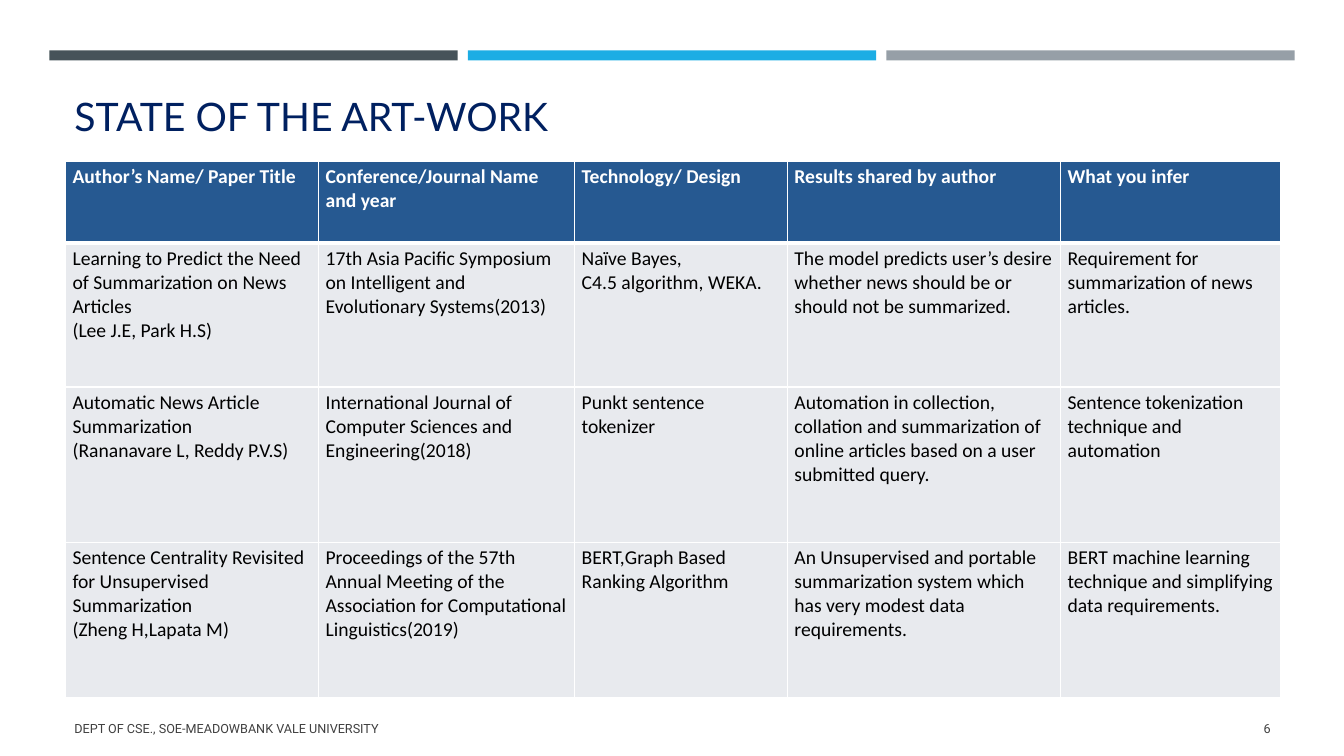
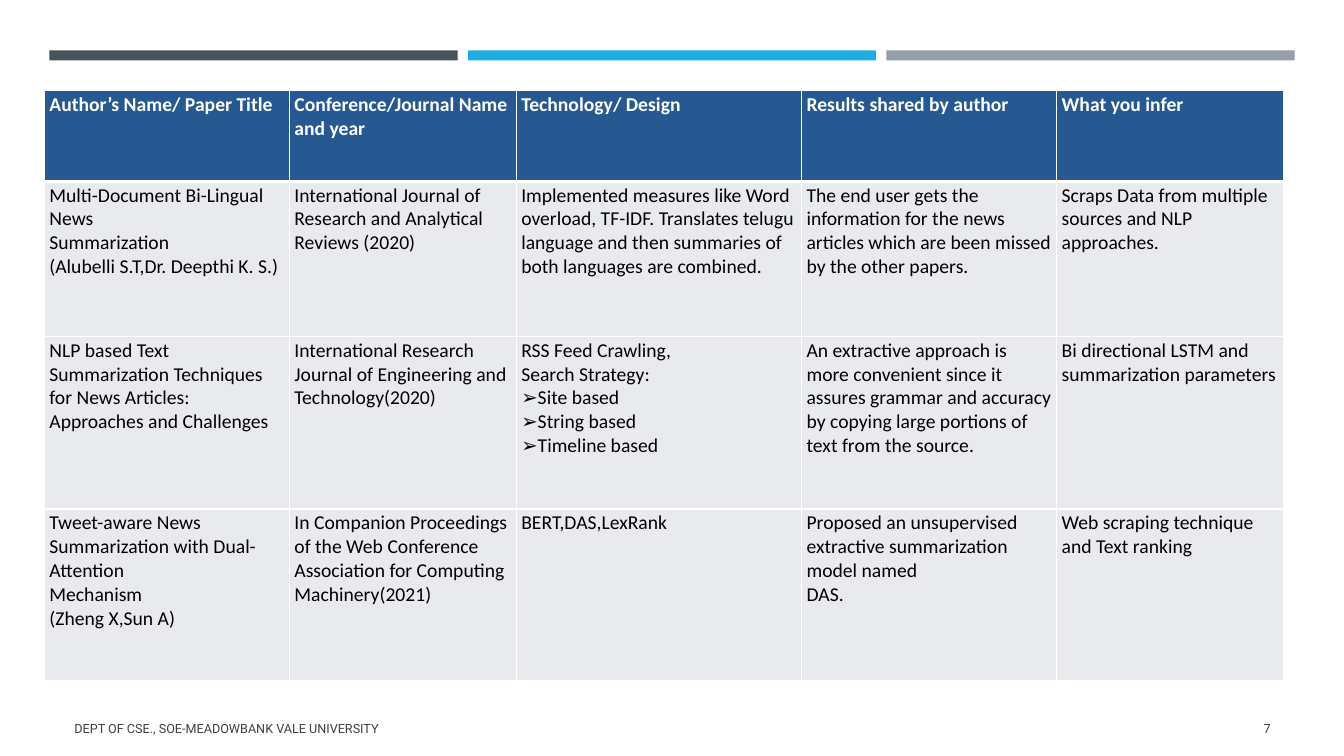
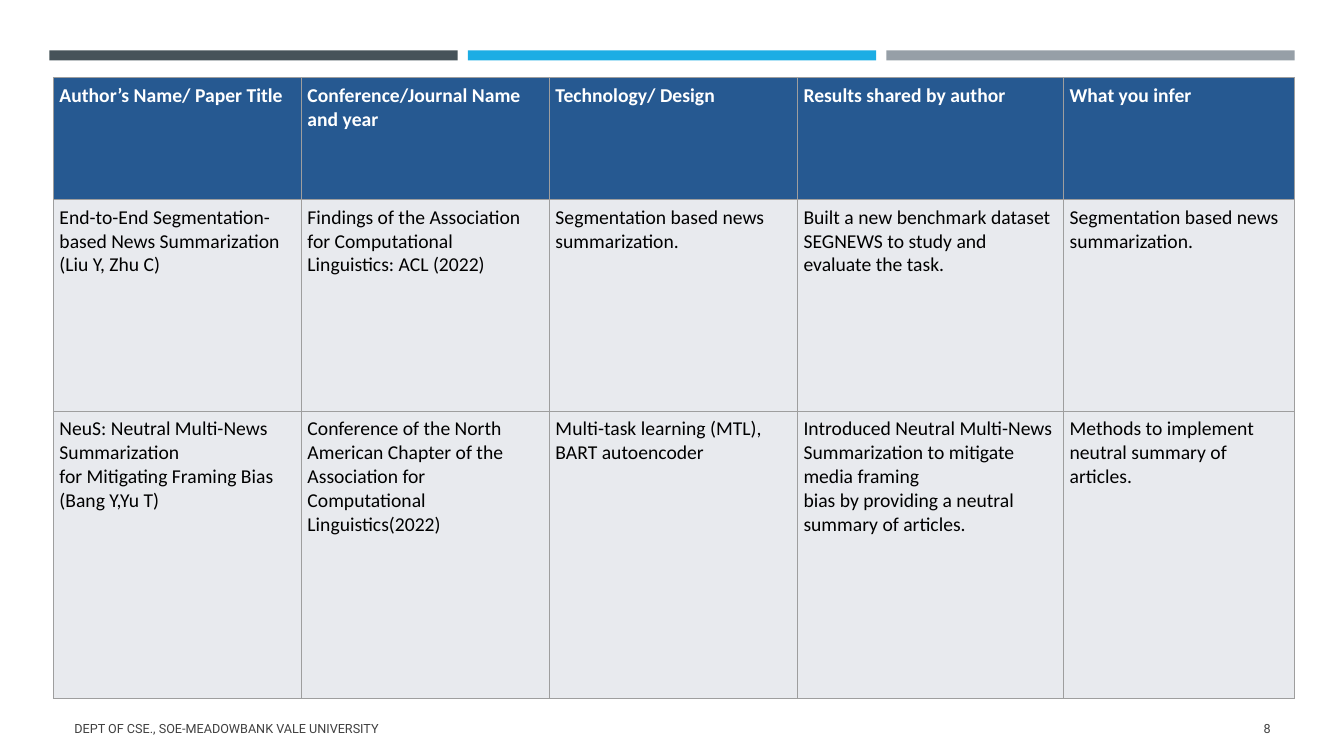
import pptx
import pptx.dml.color
import pptx.enum.shapes
import pptx.enum.text
import pptx.oxml
import pptx.oxml.ns
import pptx.util
from pptx.util import Inches

# Shared look
NAVY, HEADER_BLUE, BODY_GREY = "002060", "265991", "E8EAEE"
WHITE, BLACK, FOOTER_GREY, GRID_GREY = "FFFFFF", "000000", "404040", "9E9E9E"
BAND_COLOURS = ["465359", "1CADE4", "969FA7"]
FOOTER = "DEPT OF CSE., SOE-MEADOWBANK VALE UNIVERSITY"
HEADINGS = [
    "Author’s Name/ Paper Title",
    "Conference/Journal Name and year",
    "Technology/ Design",
    "Results shared by author",
    "What you infer",
]

# Each survey: table place, margins (side, top), rules and one row per paper
SURVEYS = [
    dict(
        number=6, title="STATE OF THE ART-WORK", left=0.65, top=1.6,
        widths=[2.51, 2.54, 2.11, 2.71, 2.18], heights=[0.81, 1.43, 1.54, 1.54],
        margins=(0.07, 0.04), rule=(WHITE, 1), header_rule=(WHITE, 3),
        papers=[
            ["Learning to Predict the Need of Summarization on News Articles\n(Lee J.E, Park H.S)",
             "17th Asia Pacific Symposium on Intelligent and Evolutionary Systems(2013)",
             "Naïve Bayes,\nC4.5 algorithm, WEKA.",
             "The model predicts user’s desire whether news should be or should not be summarized.",
             "Requirement for summarization of news articles."],
            ["Automatic News Article Summarization\n(Rananavare L, Reddy P.V.S)",
             "International Journal of Computer Sciences and Engineering(2018)",
             "Punkt sentence tokenizer",
             "Automation in collection, collation and summarization of online articles "
             "based on a user submitted query.",
             "Sentence tokenization technique and automation"],
            ["Sentence Centrality Revisited for Unsupervised Summarization\n(Zheng H,Lapata M)",
             "Proceedings of the 57th Annual Meeting of the Association for "
             "Computational Linguistics(2019)",
             "BERT,Graph Based Ranking Algorithm",
             "An Unsupervised and portable summarization system which has very modest "
             "data requirements.",
             "BERT machine learning technique and simplifying data requirements."],
        ],
    ),
    dict(
        number=7, title=None, left=0.44, top=0.9,
        widths=[2.43, 2.25, 2.83, 2.53, 2.25], heights=[0.9, 1.54, 1.71, 1.7],
        margins=(0.05, 0.02), rule=(WHITE, 1), header_rule=(WHITE, 3),
        papers=[
            ["Multi-Document Bi-Lingual News\nSummarization\n(Alubelli S.T,Dr. Deepthi K. S.)",
             "International Journal of Research and Analytical Reviews (2020)",
             "Implemented measures like Word overload, TF-IDF. Translates telugu language "
             "and then summaries of both languages are combined.",
             "The end user gets the information for the news articles which are been "
             "missed by the other papers.",
             "Scraps Data from multiple sources and NLP approaches."],
            ["NLP based Text Summarization Techniques for News Articles:\nApproaches and Challenges",
             "International Research Journal of Engineering and Technology(2020)",
             "RSS Feed Crawling,\nSearch Strategy:\n➢Site based\n➢String based\n➢Timeline based",
             "An extractive approach is more convenient since it assures grammar and "
             "accuracy by copying large portions of text from the source.",
             "Bi directional LSTM and summarization parameters"],
            ["Tweet-aware News Summarization with Dual-Attention\nMechanism\n(Zheng X,Sun A)",
             "In Companion Proceedings of the Web Conference Association for "
             "Computing Machinery(2021)",
             "BERT,DAS,LexRank",
             "Proposed an unsupervised extractive summarization model named\nDAS.",
             "Web scraping technique and Text ranking"],
        ],
    ),
    dict(
        number=8, title=None, left=0.53, top=0.77,
        widths=[2.46, 2.46, 2.46, 2.64, 2.29], heights=[1.21, 2.1, 2.85],
        margins=(0.06, 0.06), rule=(GRID_GREY, 0.75), header_rule=(GRID_GREY, 0.75),
        papers=[
            ["End-to-End Segmentation-based News Summarization\n(Liu Y, Zhu C)",
             "Findings of the Association for Computational Linguistics: ACL (2022)",
             "Segmentation based news summarization.",
             "Built a new benchmark dataset SEGNEWS to study and evaluate the task.",
             "Segmentation based news summarization."],
            ["NeuS: Neutral Multi-News Summarization\nfor Mitigating Framing Bias\n(Bang Y,Yu T)",
             "Conference of the North American Chapter of the Association for "
             "Computational Linguistics(2022)",
             "Multi-task learning (MTL),\nBART autoencoder",
             "Introduced Neutral Multi-News\nSummarization to mitigate media framing\n"
             "bias by providing a neutral summary of articles.",
             "Methods to implement neutral summary of articles."],
        ],
    ),
]


def colour(hex_code):
    return pptx.dml.color.RGBColor.from_string(hex_code)


def set_text(frame, text, font, size, hex_code, bold=False, align="LEFT"):
    frame.word_wrap = True
    frame.text = text
    for paragraph in frame.paragraphs:
        paragraph.alignment = getattr(pptx.enum.text.PP_ALIGN, align)
        for run in paragraph.runs:
            run.font.name, run.font.size = font, pptx.util.Pt(size)
            run.font.bold = bold
            run.font.color.rgb = colour(hex_code)


def add_label(slide, left, top, width, height, text, anchor="MIDDLE", **style):
    frame = slide.shapes.add_textbox(
        Inches(left), Inches(top), Inches(width), Inches(height)).text_frame
    frame.vertical_anchor = getattr(pptx.enum.text.MSO_ANCHOR, anchor)
    set_text(frame, text, **style)


def set_borders(cell, rules):
    """Draw the left, right, top and bottom rules, each a (colour, points) pair."""
    properties = cell._tc.get_or_add_tcPr()
    for position, (side, (hex_code, points)) in enumerate(zip("LRTB", rules)):
        line = pptx.oxml.parse_xml(
            f'<a:ln{side} {pptx.oxml.ns.nsdecls("a")} w="{int(points * 12700)}">'
            f'<a:solidFill><a:srgbClr val="{hex_code}"/></a:solidFill></a:ln{side}>')
        properties.insert(position, line)


def add_bands(slide, left=0.49, top=0.5, width=4.05, gap=0.1):
    for index, hex_code in enumerate(BAND_COLOURS):
        band = slide.shapes.add_shape(
            pptx.enum.shapes.MSO_SHAPE.RECTANGLE,
            Inches(left + index * (width + gap)), Inches(top), Inches(width), Inches(0.1))
        band.shadow.inherit = False
        band.fill.solid()
        band.fill.fore_color.rgb = colour(hex_code)
        band.line.fill.background()


def add_footer(slide, number, left=0.64, top=7.03, width=12.06):
    style = dict(font="Roboto", size=9, hex_code=FOOTER_GREY)
    add_label(slide, left, top, 7.56, 0.4, FOOTER, **style)
    add_label(slide, left + width - 1.15, top, 1.15, 0.4, str(number), align="RIGHT", **style)


def add_survey_table(slide, left, top, widths, heights, margins, rule, header_rule, papers):
    table = slide.shapes.add_table(
        len(heights), len(widths), Inches(left), Inches(top),
        Inches(sum(widths)), Inches(sum(heights))).table
    table.horz_banding = False
    for column, width in zip(table.columns, widths):
        column.width = Inches(width)
    for row, height in zip(table.rows, heights):
        row.height = Inches(height)

    side, upper = map(Inches, margins)
    for row_index, texts in enumerate([HEADINGS] + papers):
        is_header = row_index == 0
        top_rule = header_rule if row_index == 1 else rule
        bottom_rule = header_rule if is_header else rule
        for column_index, text in enumerate(texts):
            cell = table.cell(row_index, column_index)
            cell.margin_left = cell.margin_right = side
            cell.margin_top = cell.margin_bottom = upper
            cell.fill.solid()
            cell.fill.fore_color.rgb = colour(HEADER_BLUE if is_header else BODY_GREY)
            set_borders(cell, [rule, rule, top_rule, bottom_rule])
            set_text(cell.text_frame, text, "Calibri", 14,
                     WHITE if is_header else BLACK, bold=is_header)


def add_survey_slide(deck, number, title, **table_parts):
    slide = deck.slides.add_slide(deck.slide_layouts[6])
    add_bands(slide)
    if title:
        add_label(slide, 0.64, 0.77, 12.06, 0.66, title, anchor="BOTTOM",
                  font="Lato", size=28, hex_code=NAVY)
    add_survey_table(slide, **table_parts)
    add_footer(slide, number)


def main():
    deck = pptx.Presentation()
    deck.slide_width, deck.slide_height = Inches(13.33), Inches(7.5)
    for survey in SURVEYS:
        add_survey_slide(deck, **survey)
    deck.save("out.pptx")


if __name__ == "__main__":
    main()
